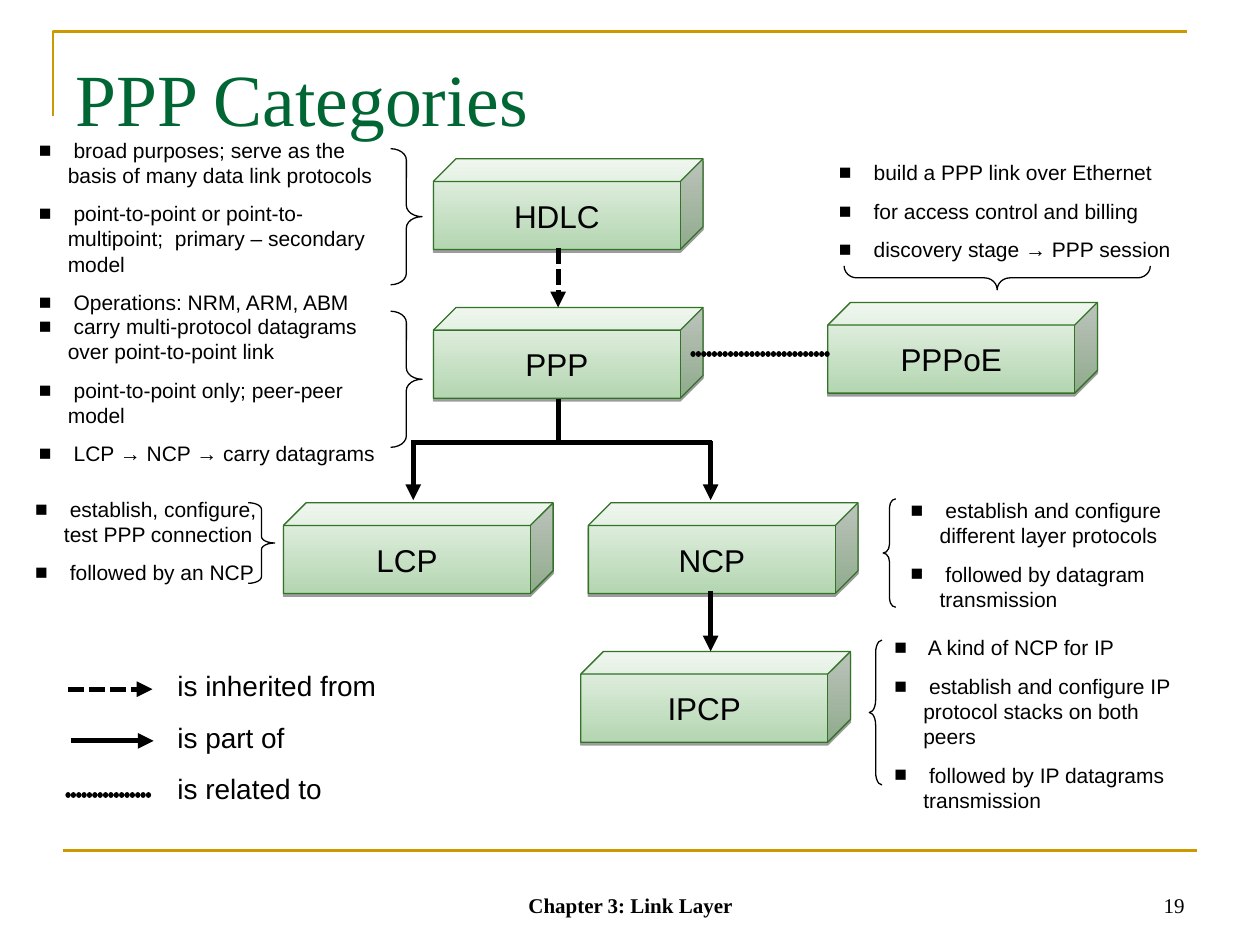
from dataclasses import dataclass
from lxml import etree
from pptx import Presentation
from pptx.dml.color import RGBColor
from pptx.enum.dml import MSO_LINE
from pptx.enum.shapes import MSO_CONNECTOR, MSO_SHAPE
from pptx.enum.text import MSO_ANCHOR, PP_ALIGN
from pptx.oxml import parse_xml
from pptx.oxml.ns import nsdecls, qn
from pptx.util import Inches, Pt

CUBE, LEFT, RIGHT = MSO_SHAPE.CUBE, MSO_SHAPE.LEFT_BRACE, MSO_SHAPE.RIGHT_BRACE
STRAIGHT, DOT = MSO_CONNECTOR.STRAIGHT, MSO_LINE.SQUARE_DOT
TOP, MID, LOW = MSO_ANCHOR.TOP, MSO_ANCHOR.MIDDLE, MSO_ANCHOR.BOTTOM
START, CENTER, END = PP_ALIGN.LEFT, PP_ALIGN.CENTER, PP_ALIGN.RIGHT

BLACK = RGBColor(0, 0, 0)
GOLD = RGBColor(0xCC, 0x99, 0x00)
PINE = RGBColor(0x00, 0x66, 0x33)
EDGE = RGBColor(0x32, 0x73, 0x27)
LEAF = RGBColor(0xB4, 0xD6, 0xB1)
MINT = RGBColor(0xEB, 0xF4, 0xEA)
SANS, SERIF = "Arial", "Times New Roman"

WIDE, HIGH = Inches(10), Inches(7.5)
COLS, ROWS = 100, 75
SHADE = (f'<a:effectLst {nsdecls("a")}><a:outerShdw dist="20320" dir="5400000">'
         '<a:srgbClr val="000000"><a:alpha val="38000"/></a:srgbClr>'
         '</a:outerShdw></a:effectLst>')
BEADS = (f'<a:custDash {nsdecls("a")}><a:ds d="100000" sp="2000"/></a:custDash>')


@dataclass
class Box:
    col: float
    row: float
    wide: float
    high: float

    def place(self) -> tuple:
        return (int(WIDE * self.col / COLS), int(HIGH * self.row / ROWS),
                int(WIDE * self.wide / COLS), int(HIGH * self.high / ROWS))


@dataclass
class Node:
    name: str
    col: float
    row: float


@dataclass
class Brace:
    kind: int
    box: Box
    curl: float
    turn: int = 0


@dataclass
class Link:
    ends: tuple
    style: str = "solid"
    head: bool = False


@dataclass
class Note:
    box: Box
    items: list


NODES = [Node("HDLC", 34.4, 12.6), Node("PPP", 34.4, 24.4), Node("LCP", 22.5, 39.9),
         Node("NCP", 46.7, 39.9), Node("PPPoE", 65.7, 24), Node("IPCP", 46.1, 51.7)]
LINKS = [
    Link((44.3, 19.7, 44.3, 24.4), "dash", True),
    Link((32.8, 35, 32.8, 39.7), head=True),
    Link((32.6, 35.1, 56.5, 35.1)),
    Link((56.4, 35, 56.4, 39.7), head=True),
    Link((44.3, 31.7, 44.3, 35)),
    Link((55, 28.1, 65.8, 28.1), "beads"),
    Link((56.4, 46.9, 56.4, 51.7), head=True),
    Link((5.4, 54.7, 12.1, 54.7), "dash", True),
    Link((5.6, 58.8, 12.2, 58.8), head=True),
    Link((5.4, 63.1, 12.1, 63.1), "beads"),
]
BRACES = [
    Brace(RIGHT, Box(31, 11.8, 2.5, 10.8), 0.36),
    Brace(RIGHT, Box(31, 24.7, 2.5, 10.8), 0.36),
    Brace(RIGHT, Box(19.7, 39.9, 2.1, 6.4), 0.25),
    Brace(LEFT, Box(70.1, 39.6, 1, 8.6), 0.7),
    Brace(LEFT, Box(69, 50.8, 1, 11.5), 1),
    Brace(LEFT, Box(78.2, 9.9, 1.9, 24.3), 0.53, 270),
]
NOTES = [
    Note(Box(2.1, 10.4, 29.7, 13.1), [
        "broad purposes; serve as the basis of many data link protocols",
        "point-to-point or point-to-multipoint;  primary – secondary model",
        "Operations: NRM, ARM, ABM"]),
    Note(Box(2.1, 24.4, 30.8, 11.1), [
        "carry multi-protocol datagrams over point-to-point link",
        "point-to-point only; peer-peer model",
        "LCP → NCP → carry datagrams"]),
    Note(Box(1.8, 38.9, 20, 8.1), [
        "establish, configure, test PPP connection", "followed by an NCP"]),
    Note(Box(71.3, 39, 25.7, 10.1), [
        "establish and configure different layer protocols",
        "followed by datagram transmission"]),
    Note(Box(70, 49.9, 25.7, 13.1), [
        "A kind of NCP for IP",
        "establish and configure IP protocol stacks on both peers",
        "followed by IP datagrams transmission"]),
    Note(Box(65.6, 12.2, 28.6, 9.1), [
        "build a PPP link over Ethernet", "for access control and billing",
        "discovery stage → PPP session"]),
]


def apply(item, **vals) -> None:
    for key, val in vals.items():
        setattr(item, key, val)


def write(para, text: str, size: float, face=SANS, tint=BLACK, bold=False) -> None:
    run = para.add_run()
    run.text = text
    apply(run.font, size=Pt(size), name=face, bold=bold)
    run.font.color.rgb = tint


def bullet(para) -> None:
    props = para._p.get_or_add_pPr()
    apply_set = {"marL": Inches(0.23), "indent": -Inches(0.23)}
    for key, val in apply_set.items():
        props.set(key, str(int(val)))
    hue = etree.SubElement(props, qn("a:buClr"))
    etree.SubElement(hue, qn("a:srgbClr"), val=str(BLACK))
    etree.SubElement(props, qn("a:buFont"), typeface=SANS)
    etree.SubElement(props, qn("a:buChar"), char="■")


def label(slide, box: Box, lines: list, size: float, gap=0.0, marks=False,
          anchor=TOP, align=START, **font) -> None:
    frame = slide.shapes.add_textbox(*box.place()).text_frame
    apply(frame, word_wrap=True, vertical_anchor=anchor)
    for rank, line in enumerate(lines):
        para = frame.add_paragraph() if rank else frame.paragraphs[0]
        apply(para, alignment=align, space_before=Pt(gap if rank else 0))
        if marks:
            bullet(para)
            write(para, " ", size)
        write(para, line, size, **font)


def cube(slide, node: Node) -> None:
    shape = slide.shapes.add_shape(CUBE, *Box(node.col, node.row, 21.4, 7.2).place())
    shape.fill.gradient()
    shape.fill.gradient_angle = 90
    for stop, tint, spot in zip(shape.fill.gradient_stops, (LEAF, MINT), (0, 1)):
        stop.color.rgb = tint
        stop.position = spot
    shape.line.color.rgb = EDGE
    shape.line.width = Pt(0.75)
    shape._element.spPr.append(parse_xml(SHADE))
    apply(shape.text_frame, word_wrap=False, vertical_anchor=MID)
    para = shape.text_frame.paragraphs[0]
    para.alignment = CENTER
    write(para, node.name, 18)


def brace(slide, mark: Brace) -> None:
    shape = slide.shapes.add_shape(mark.kind, *mark.box.place())
    shape.adjustments[0] = mark.curl
    shape.rotation = mark.turn
    shape.shadow.inherit = False
    shape.fill.background()
    shape.line.color.rgb = BLACK
    shape.line.width = Pt(0.75)


def link(slide, part: Link, tint=BLACK, size=3.0) -> None:
    left, top, right, low = part.ends
    start, stop = Box(left, top, 0, 0).place(), Box(right, low, 0, 0).place()
    wire = slide.shapes.add_connector(STRAIGHT, *start[:2], *stop[:2])
    wire.line.color.rgb = tint
    wire.line.width = Pt(size)
    edge = wire.line._get_or_add_ln()
    if part.style == "dash":
        wire.line.dash_style = DOT
    elif part.style == "beads":
        edge.set("cap", "rnd")
        edge.append(parse_xml(BEADS))
    if part.head:
        etree.SubElement(edge, qn("a:tailEnd"), type="triangle")
    etree.SubElement(wire._element.spPr, qn("a:effectLst"))


def frame(slide) -> None:
    spots = [Box(*spot, 0, 0).place()[:2] for spot in ((4.2, 9.2), (4.2, 2.5), (94.2, 2.5))]
    path = slide.shapes.build_freeform(*spots[0])
    path.add_line_segments(spots[1:], close=False)
    shape = path.convert_to_shape()
    shape.shadow.inherit = False
    shape.fill.background()
    shape.line.color.rgb = GOLD
    shape.line.width = Pt(1.5)
    link(slide, Link((5, 67.5, 95, 67.5)), GOLD, 1.5)


def title(slide, text: str) -> None:
    head = slide.shapes.title
    spot = Box(5, 3, 90, 12.5).place()
    apply(head, **dict(zip(("left", "top", "width", "height"), spot)))
    apply(head.text_frame, vertical_anchor=TOP, word_wrap=True, margin_top=Inches(0.12))
    para = head.text_frame.paragraphs[0]
    para.alignment = START
    write(para, text, 42, SERIF, PINE)


def main() -> None:
    deck = Presentation()
    apply(deck, slide_width=WIDE, slide_height=HIGH)
    slide = deck.slides.add_slide(deck.slide_layouts[5])
    frame(slide)
    title(slide, "PPP Categories")
    for node in NODES:
        cube(slide, node)
    for part in LINKS:
        link(slide, part)
    for note in NOTES:
        label(slide, note.box, note.items, 12, 7.5, True)
    for mark in BRACES:
        brace(slide, mark)
    label(slide, Box(13.1, 52.6, 19.3, 11.8),
          ["is inherited from", "is part of", "is related to"], 16, 10)
    label(slide, Box(34.2, 68.3, 31.7, 5), ["Chapter 3: Link Layer"], 12,
          anchor=LOW, align=CENTER, face=SERIF, bold=True)
    label(slide, Box(71.7, 68.3, 23.3, 5), ["19"], 12,
          anchor=LOW, align=END, face=SERIF)
    deck.save("out.pptx")


if __name__ == "__main__":
    main()
